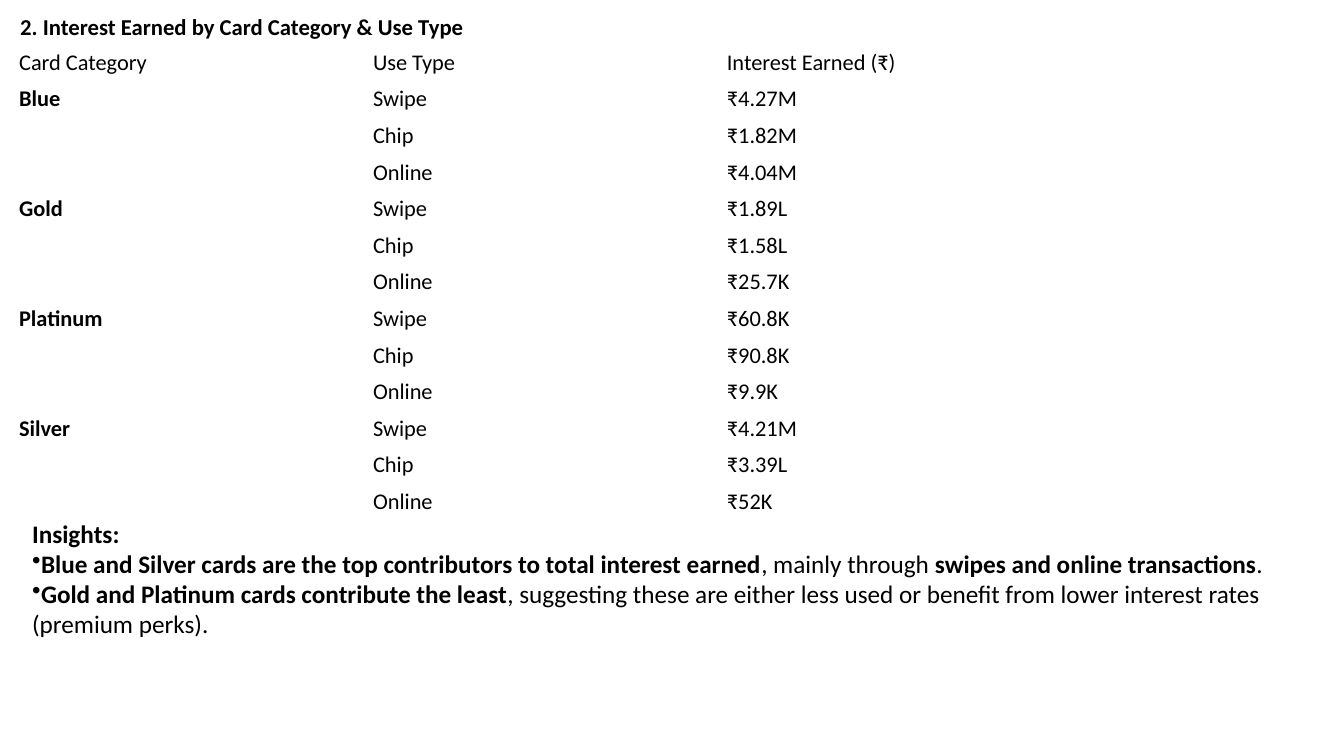
import lxml.etree
import pptx
import pptx.dml.color
import pptx.enum.text
import pptx.oxml.ns
import pptx.util

Inches = pptx.util.Inches
BLACK = pptx.dml.color.RGBColor(0, 0, 0)
WHITE = pptx.dml.color.RGBColor(255, 255, 255)
FONT = "Calibri"

HEADINGS = ["Card Category", "Use Type", "Interest Earned (₹)"]
USE_TYPES = ["Swipe", "Chip", "Online"]
INTEREST = {
    "Blue": ["₹4.27M", "₹1.82M", "₹4.04M"],
    "Gold": ["₹1.89L", "₹1.58L", "₹25.7K"],
    "Platinum": ["₹60.8K", "₹90.8K", "₹9.9K"],
    "Silver": ["₹4.21M", "₹3.39L", "₹52K"],
}
INSIGHTS = [
    [
        ("Blue and Silver cards are the top contributors to total interest earned", True),
        (", mainly through ", False),
        ("swipes and online transactions", True),
        (".", False),
    ],
    [
        ("Gold and Platinum cards contribute the least", True),
        (
            ", suggesting these are either less used or benefit from lower "
            "interest rates (premium perks).",
            False,
        ),
    ],
]


def format_font(font, size, bold=None):
    font.name = FONT
    font.size = pptx.util.Pt(size)
    font.color.rgb = BLACK
    font.bold = bold


def add_bullet(para):
    bullet = lxml.etree.Element(pptx.oxml.ns.qn("a:buChar"), char="•")
    para._p.get_or_add_pPr().insert(0, bullet)


def place_title(page, left, top, width, height):
    title = page.shapes.title
    title.left, title.top, title.width, title.height = left, top, width, height
    frame = title.text_frame
    frame.text = "2. Interest Earned by Card Category & Use Type"
    frame.word_wrap = True
    frame.auto_size = pptx.enum.text.MSO_AUTO_SIZE.NONE
    frame.vertical_anchor = pptx.enum.text.MSO_ANCHOR.MIDDLE
    para = frame.paragraphs[0]
    para.alignment = pptx.enum.text.PP_ALIGN.LEFT
    para.line_spacing = 0.9
    format_font(para.font, 16.2, True)


def fill_cell(cell, text, bold):
    cell.fill.background()
    cell.vertical_anchor = pptx.enum.text.MSO_ANCHOR.MIDDLE
    cell.margin_left = cell.margin_right = Inches(0.09)
    cell.margin_top = cell.margin_bottom = Inches(0.09) // 2
    cell.text = text
    para = cell.text_frame.paragraphs[0]
    format_font(para.font, 16, bold)
    if not text:
        end = lxml.etree.SubElement(para._p, pptx.oxml.ns.qn("a:endParaRPr"))
        end.set("sz", "1600")
        lxml.etree.SubElement(end, pptx.oxml.ns.qn("a:latin"), typeface=FONT)


def place_table(page, left, top, width, height):
    rows = [HEADINGS]
    for category, amounts in INTEREST.items():
        for index, (use_type, amount) in enumerate(zip(USE_TYPES, amounts)):
            rows.append(["" if index else category, use_type, amount])
    table = page.shapes.add_table(
        len(rows), len(HEADINGS), left, top, width, height
    ).table
    table.first_row = False
    table.horz_banding = False
    for row_index, row in enumerate(rows):
        for column_index, text in enumerate(row):
            bold = row_index > 0 and column_index == 0
            fill_cell(table.cell(row_index, column_index), text, bold)


def place_insights(page, left, top, width, height):
    box = page.shapes.add_textbox(left, top, width, height)
    frame = box.text_frame
    frame.word_wrap = True
    frame.auto_size = pptx.enum.text.MSO_AUTO_SIZE.SHAPE_TO_FIT_TEXT
    heading = frame.paragraphs[0]
    heading.text = "Insights:"
    format_font(heading.font, 18, True)
    for insight in INSIGHTS:
        para = frame.add_paragraph()
        format_font(para.font, 18)
        add_bullet(para)
        for text, bold in insight:
            span = para.add_run()
            span.text = text
            span.font.bold = bold


def build_interest_slide(deck):
    page = deck.slides.add_slide(deck.slide_layouts[5])
    page.background.fill.solid()
    page.background.fill.fore_color.rgb = WHITE
    place_title(page, Inches(0.1), Inches(0.1), Inches(11.5), Inches(0.35))
    place_table(page, Inches(0.1), Inches(0.44), Inches(10.53), Inches(4.72))
    place_insights(page, Inches(0.22), Inches(5.09), Inches(12.76), Inches(1.31))


def main():
    deck = pptx.Presentation()
    deck.slide_width = Inches(13.33)
    deck.slide_height = Inches(7.5)
    build_interest_slide(deck)
    deck.save("out.pptx")


if __name__ == "__main__":
    main()
